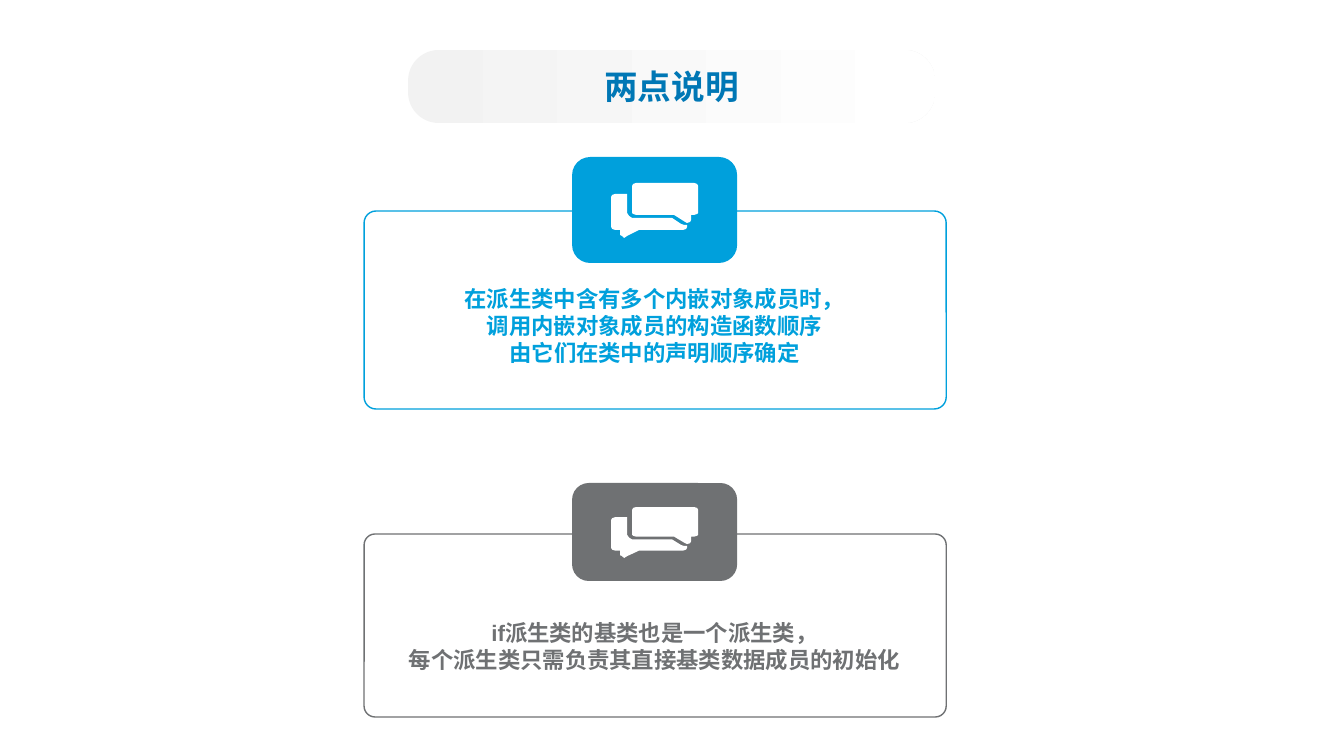
from pptx import Presentation
from pptx import util as u
from pptx.dml.color import RGBColor
from pptx.enum import shapes, text

BLUE = RGBColor(0x00, 0xA0, 0xDC)
GRAY = RGBColor(0x6F, 0x71, 0x73)
NAVY = RGBColor(0x00, 0x77, 0xB5)
MIST = RGBColor(0xF2, 0xF2, 0xF2)
WHITE = RGBColor(0xFF, 0xFF, 0xFF)

ICON_HEIGHT = 55
FRONT_BUBBLE = [
    (83, 32), (80, 32), (80, 37), (79, 39), (76, 40), (74, 39),
    (63, 32), (25, 32), (22, 31), (21, 30), (21, 3), (22, 1),
    (25, 0), (83, 0), (86, 1), (87, 3), (87, 30), (86, 31),
]
BACK_BUBBLE = [
    (61, 35), (70, 41), (73, 42), (76, 42), (76, 44), (75, 46),
    (72, 47), (28, 47), (16, 53), (13, 55), (11, 53), (9, 52),
    (9, 47), (4, 47), (1, 46), (0, 44), (0, 14), (1, 12),
    (4, 11), (16, 11), (16, 30), (18, 33), (21, 35), (25, 35),
]


class Deck:
    scale = 914400 / 100.8
    body_font = "Arial"
    title_font = "Noto Sans CJK SC"

    def __init__(self):
        self.presentation = Presentation()
        self.presentation.slide_width = u.Inches(13.33)
        self.presentation.slide_height = u.Inches(7.5)
        self.slide = self.presentation.slides.add_slide(
            self.presentation.slide_layouts[6])

    def px(self, *lengths):
        return [u.Emu(round(length * self.scale)) for length in lengths]

    def rounded(self, box, corner, fill=None, line=None):
        shape = self.slide.shapes.add_shape(
            shapes.MSO_SHAPE.ROUNDED_RECTANGLE, *self.px(*box))
        shape.shadow.inherit = False
        shape.adjustments[0] = corner
        if fill is None:
            shape.fill.background()
        else:
            shape.fill.solid()
            shape.fill.fore_color.rgb = fill
        if line is None:
            shape.line.fill.background()
        else:
            shape.line.color.rgb = line
            shape.line.width = u.Pt(1)
        return shape

    def put_lines(self, frame, lines, size, color, font):
        frame.text = "\n".join(lines)
        for paragraph in frame.paragraphs:
            paragraph.alignment = text.PP_ALIGN.CENTER
            paragraph.font.name = font
            paragraph.font.size = u.Pt(size)
            paragraph.font.bold = True
            paragraph.font.color.rgb = color

    def title(self, box, words):
        banner = self.rounded(box, 0.42, fill=MIST)
        banner.fill.gradient()
        banner.fill.gradient_angle = 0
        for stop, color, position in zip(
                banner.fill.gradient_stops, (MIST, WHITE), (0, 0.99)):
            stop.color.rgb = color
            stop.position = position
        banner.text_frame.vertical_anchor = text.MSO_ANCHOR.MIDDLE
        self.put_lines(banner.text_frame, [words], 24, NAVY, self.title_font)

    def caption(self, box, lines, color):
        frame = self.slide.shapes.add_textbox(*self.px(*box)).text_frame
        frame.margin_left = frame.margin_right = 0
        frame.margin_top = frame.margin_bottom = 0
        frame.word_wrap = False
        self.put_lines(frame, lines, 16, color, self.body_font)

    def chat_icon(self, left, top, height):
        builder = self.slide.shapes.build_freeform(
            *FRONT_BUBBLE[0],
            scale=(self.scale, self.scale * height / ICON_HEIGHT))
        builder.add_line_segments(FRONT_BUBBLE[1:], close=True)
        builder.move_to(*BACK_BUBBLE[0])
        builder.add_line_segments(BACK_BUBBLE[1:], close=True)
        icon = builder.convert_to_shape(*self.px(left, top))
        icon.shadow.inherit = False
        icon.fill.solid()
        icon.fill.fore_color.rgb = WHITE
        icon.line.fill.background()

    def card(self, color, lines, panel, tile, icon, caption):
        self.rounded((364, panel[0], 582, panel[1]), 0.06, line=color)
        self.rounded((572, tile[0], 165, tile[1]), 0.17, fill=color)
        self.chat_icon(611, *icon)
        self.caption((390, caption[0], 529, caption[1]), lines, color)


def main():
    deck = Deck()
    deck.card(
        BLUE,
        ["在派生类中含有多个内嵌对象成员时，",
         "调用内嵌对象成员的构造函数顺序",
         "由它们在类中的声明顺序确定"],
        panel=(211, 198), tile=(157, 106), icon=(183, 55), caption=(285, 106))
    deck.card(
        GRAY,
        ["if派生类的基类也是一个派生类，",
         "每个派生类只需负责其直接基类数据成员的初始化"],
        panel=(534, 183), tile=(483, 98), icon=(507, 51), caption=(619, 88))
    deck.title((408, 50, 527, 73), "两点说明")
    deck.presentation.save("out.pptx")


if __name__ == "__main__":
    main()
